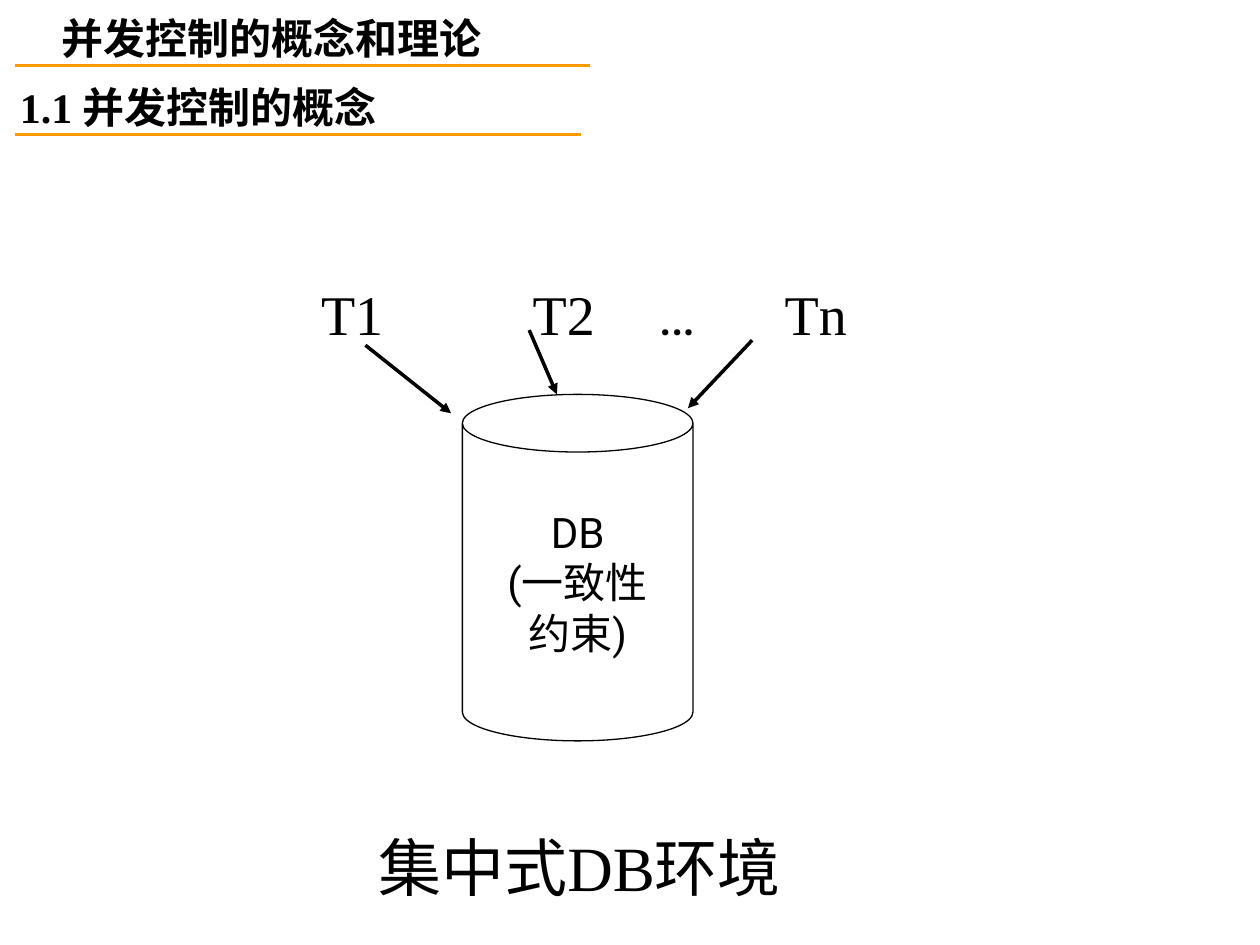
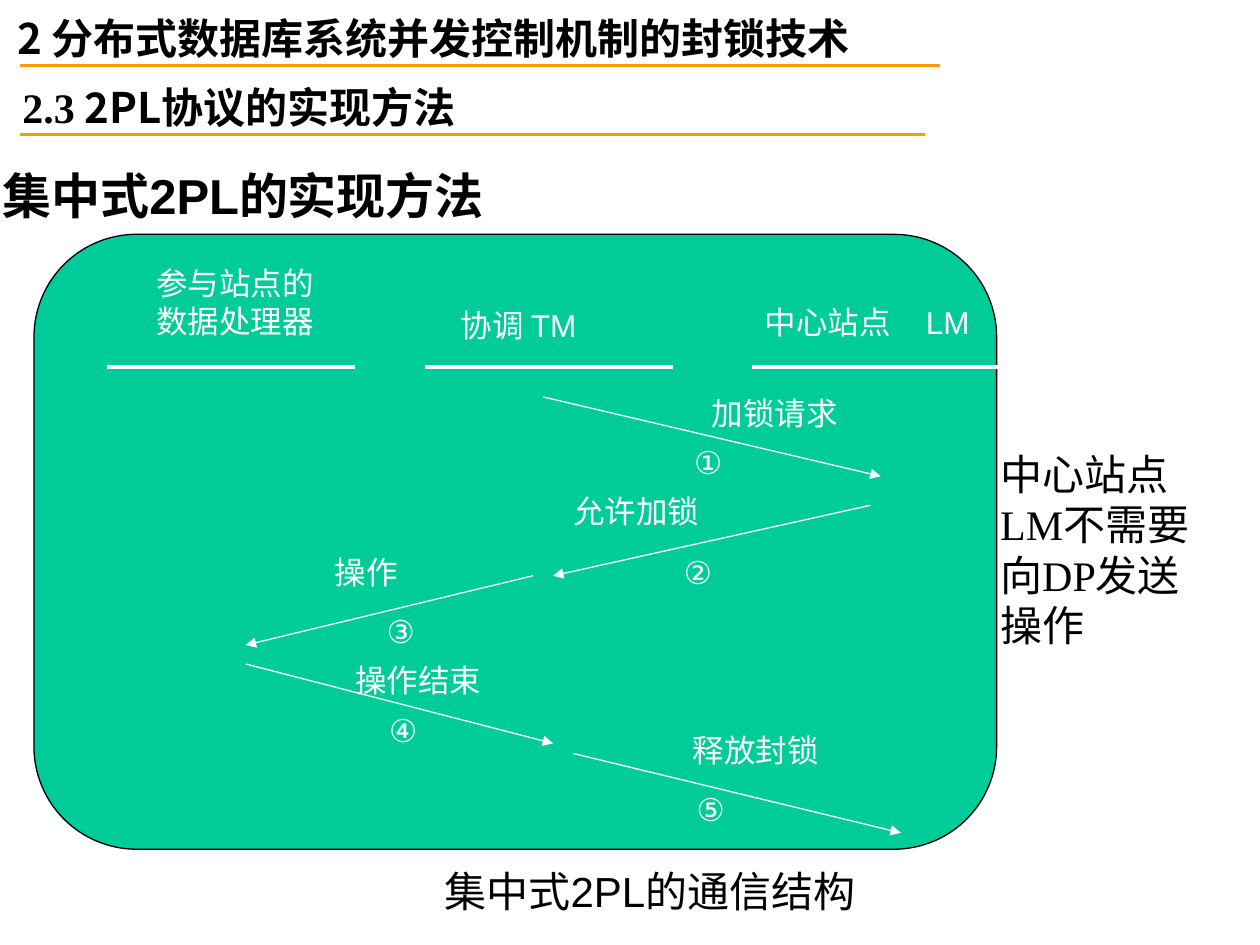
from lxml import etree
from pptx import Presentation
from pptx.dml.color import RGBColor
from pptx.enum.shapes import MSO_CONNECTOR, MSO_SHAPE
from pptx.enum.text import MSO_ANCHOR, MSO_AUTO_SIZE, PP_ALIGN
from pptx.oxml.ns import qn
from pptx.util import Pt

PX = 9144
TITLE_ONLY = 5
STRAIGHT = MSO_CONNECTOR.STRAIGHT
CAN = MSO_SHAPE.CAN
ROUNDED = MSO_SHAPE.ROUNDED_RECTANGLE
TOP = MSO_ANCHOR.TOP
MIDDLE = MSO_ANCHOR.MIDDLE
LEFT = PP_ALIGN.LEFT
CENTER = PP_ALIGN.CENTER
NO_AUTOFIT = MSO_AUTO_SIZE.NONE

BLACK = RGBColor(0x00, 0x00, 0x00)
WHITE = RGBColor(0xFF, 0xFF, 0xFF)
ORANGE = RGBColor(0xFF, 0x99, 0x00)
GREEN = RGBColor(0x00, 0xCC, 0x99)
SERIF = "Times New Roman"
SANS = "Arial"
MONO = "Roboto"
CJK = "Noto Sans CJK SC"


def px(*lengths):
    return [length * PX for length in lengths]


def format_run(run, font_name, size, color, bold=False):
    run.font.name = font_name
    run.font.size = Pt(size)
    run.font.bold = bold
    run.font.color.rgb = color
    latin = run.font._element.find(qn("a:latin"))
    east_asian = etree.Element(qn("a:ea"), typeface=CJK)
    latin.addnext(east_asian)


def format_text(frame, font_name, size, color, bold=False, align=LEFT,
                anchor=TOP, wrap=True):
    frame.auto_size = NO_AUTOFIT
    frame.word_wrap = wrap
    frame.vertical_anchor = anchor
    for paragraph in frame.paragraphs:
        paragraph.alignment = align
        for run in paragraph.runs:
            format_run(run, font_name, size, color, bold)


def add_text(slide, box, text, font_name, size, color, wrap=False):
    frame = slide.shapes.add_textbox(*px(*box)).text_frame
    frame.text = text
    format_text(frame, font_name, size, color, wrap=wrap)
    return frame


def add_runs(paragraph, pieces, size, color, bold=False):
    for text, font_name in pieces:
        run = paragraph.add_run()
        run.text = text
        format_run(run, font_name, size, color, bold)


def set_tabs(paragraph, stops):
    tab_list = etree.SubElement(paragraph._p.get_or_add_pPr(), qn("a:tabLst"))
    for stop in stops:
        etree.SubElement(tab_list, qn("a:tab"), pos=str(stop * PX), algn="l")


def add_line(slide, start, end, color, width, arrow=False):
    line = slide.shapes.add_connector(STRAIGHT, *px(*start, *end))
    line.line.color.rgb = color
    line.line.width = Pt(width)
    if arrow:
        etree.SubElement(line.line._get_or_add_ln(), qn("a:tailEnd"), type="triangle")
    etree.SubElement(line._element.spPr, qn("a:effectLst"))


def add_outlined_shape(slide, kind, box, fill):
    shape = slide.shapes.add_shape(kind, *px(*box))
    shape.shadow.inherit = False
    shape.fill.solid()
    shape.fill.fore_color.rgb = fill
    shape.line.color.rgb = BLACK
    shape.line.width = Pt(0.75)
    return shape


def place_title(slide, box, text, font_name, size, **style):
    title = slide.shapes.title
    title.left, title.top, title.width, title.height = px(*box)
    title.text_frame.text = text
    format_text(title.text_frame, font_name, size, BLACK, **style)


def add_heading(slide, box, pieces, rule_start, rule_end):
    frame = slide.shapes.add_textbox(*px(*box)).text_frame
    frame.word_wrap = True
    add_runs(frame.paragraphs[0], pieces, 24, BLACK, bold=True)
    rule_y = box[1] + 47
    add_line(slide, (rule_start, rule_y), (rule_end, rule_y), ORANGE, 1.5)


def add_database_diagram(slide, box):
    left, top, width, height = box
    frame = slide.shapes.add_textbox(*px(*box)).text_frame
    frame.word_wrap = True
    transactions = frame.paragraphs[0]
    set_tabs(transactions, (170, 338, 438, 538))
    pieces = [("\tT1\tT2\t", SERIF), ("…\t", MONO), ("Tn", SERIF)]
    add_runs(transactions, pieces, 32, BLACK)

    database = add_outlined_shape(slide, CAN, (left + 292, top + 96, 183, 275), WHITE)
    database.text_frame.text = "DB\n(一致性\n约束)"
    format_text(database.text_frame, MONO, 24, BLACK, align=CENTER,
                anchor=MIDDLE, wrap=False)

    for x1, y1, x2, y2 in ((215, 57, 283, 111), (345, 45, 367, 96), (522, 53, 471, 107)):
        add_line(slide, (left + x1, top + y1), (left + x2, top + y2), BLACK, 2, arrow=True)


def add_communication_panel(slide, box):
    left, top, width, height = box
    panel = add_outlined_shape(slide, ROUNDED, box, GREEN)
    panel.adjustments[0] = 0.167

    def add_label(x, y, w, h, text):
        return add_text(slide, (left + x, top + y, w, h), text, SANS, 18, WHITE)

    for lane_x in (58, 310, 570):
        add_line(slide, (left + lane_x, top + 105), (left + lane_x + 197, top + 105),
                 WHITE, 2.25)
    add_label(87, 19, 145, 70, "参与站点的\n数据处理器")
    add_label(329, 52, 117, 40, "协调 TM")
    center_site = add_label(570, 50, 183, 40, "中心站点\tLM")
    set_tabs(center_site.paragraphs[0], (128,))

    messages = [
        ("加锁请求", (528, 122), "①", (514, 161), (404, 129, 672, 192)),
        ("允许加锁", (418, 200), "②", (506, 248), (664, 215, 412, 271)),
        ("操作", (229, 248), "③", (270, 295), (396, 271, 168, 326)),
        ("操作结束", (245, 334), "④", (272, 373), (168, 341, 412, 404)),
        ("释放封锁", (513, 389), "⑤", (516, 436), (428, 412, 688, 475)),
    ]
    for message, message_at, step, step_at, (x1, y1, x2, y2) in messages:
        add_line(slide, (left + x1, top + y1), (left + x2, top + y2), WHITE, 0.75,
                 arrow=True)
        add_label(*message_at, 20 + 25 * len(message), 40, message)
        add_label(*step_at, 42, 40, step)


def build_concept_slide(deck):
    slide = deck.slides.add_slide(deck.slide_layouts[TITLE_ONLY])
    place_title(slide, (35, 625, 850, 125), "集中式DB环境", SERIF, 36,
                align=CENTER, anchor=MIDDLE)
    add_database_diagram(slide, (75, 217, 850, 450))
    add_heading(slide, (6, 60, 500, 50),
                [("1.1 ", SERIF), ("并发控制的概念", CJK)], 12, 461)
    add_heading(slide, (39, 5, 465, 50), [("并发控制的概念和理论", CJK)], 12, 468)


def build_locking_slide(deck):
    slide = deck.slides.add_slide(deck.slide_layouts[TITLE_ONLY])
    place_title(slide, (-8, 126, 450, 57), "集中式2PL的实现方法", SANS, 28, bold=True)
    add_communication_panel(slide, (27, 186, 764, 488))
    add_text(slide, (343, 682, 362, 50), "集中式2PL的通信结构", SANS, 24, BLACK)
    add_text(slide, (784, 351, 183, 170), "中心站点LM不需要向DP发送操作",
             SERIF, 24, BLACK, wrap=True)
    add_heading(slide, (8, 60, 799, 50),
                [("2.3", SERIF), (" 2PL协议的实现方法", CJK)], 16, 734)
    add_heading(slide, (4, 5, 799, 50),
                [("2 分布式数据库系统并发控制机制的封锁技术", CJK)], 16, 746)


def main():
    deck = Presentation()
    deck.slide_width, deck.slide_height = px(1000, 750)
    build_concept_slide(deck)
    build_locking_slide(deck)
    deck.save("out.pptx")


if __name__ == "__main__":
    main()
